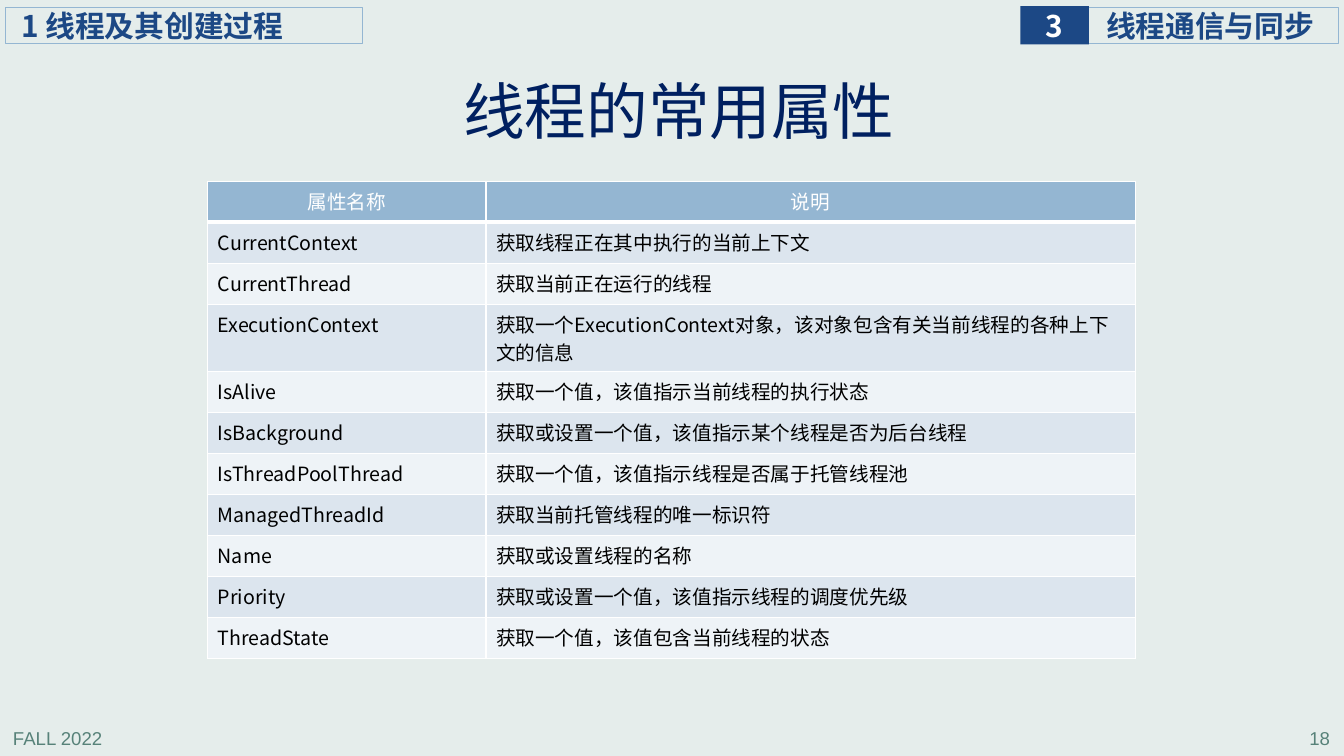
from pptx import Presentation
from pptx import util as u
from pptx.dml.color import RGBColor
from pptx.enum import shapes, text
from pptx.oxml import ns
from lxml import etree

COLORS = {
    "background": "E5EDEB", "navy": "1C4885", "blue": "94B6D2",
    "title": "002060", "footer": "578279", "white": "FFFFFF",
    "black": "000000", "odd": "DCE5EE", "even": "EEF3F7",
}
CJK = "Noto Sans CJK SC"
LEFT, CENTER, RIGHT = text.PP_ALIGN.LEFT, text.PP_ALIGN.CENTER, text.PP_ALIGN.RIGHT
PROPERTIES = [
    ("属性名称", "说明"),
    ("CurrentContext", "获取线程正在其中执行的当前上下文"),
    ("CurrentThread", "获取当前正在运行的线程"),
    ("ExecutionContext", "获取一个ExecutionContext对象，该对象包含有关当前线程的各种上下文的信息"),
    ("IsAlive", "获取一个值，该值指示当前线程的执行状态"),
    ("IsBackground", "获取或设置一个值，该值指示某个线程是否为后台线程"),
    ("IsThreadPoolThread", "获取一个值，该值指示线程是否属于托管线程池"),
    ("ManagedThreadId", "获取当前托管线程的唯一标识符"),
    ("Name", "获取或设置线程的名称"),
    ("Priority", "获取或设置一个值，该值指示线程的调度优先级"),
    ("ThreadState", "获取一个值，该值包含当前线程的状态"),
]
TALL_ROW = 3


def rgb(name):
    """Return the named palette colour."""
    return RGBColor.from_string(COLORS[name])


def write(tf, words, size, color, font=CJK, align=LEFT, bold=False):
    """Write one run into the first paragraph and return the paragraph."""
    p = tf.paragraphs[0]
    p.alignment = align
    r = p.add_run()
    r.text = words
    r.font.size, r.font.bold, r.font.name = u.Pt(size), bold, font
    r.font.color.rgb = rgb(color)
    etree.SubElement(r.font._element, ns.qn("a:ea"), typeface=font)
    return p


def add_text(s, box, words, size, color, font=CJK, align=LEFT, anchor=text.MSO_ANCHOR.TOP):
    """Add a wrapping text box and return its paragraph."""
    tf = s.shapes.add_textbox(*map(u.Inches, box)).text_frame
    tf.word_wrap = True
    tf.vertical_anchor = anchor
    return write(tf, words, size, color, font, align)


def add_label(s, box, words, inset=0, filled=False):
    """Add a section label, either outlined or filled."""
    sp = s.shapes.add_shape(shapes.MSO_SHAPE.RECTANGLE, *map(u.Inches, box))
    sp.shadow.inherit = False
    if filled:
        sp.fill.solid()
        sp.fill.fore_color.rgb = rgb("navy")
        sp.line.fill.background()
    else:
        sp.fill.background()
        sp.line.color.rgb = rgb("blue")
        sp.line.width = u.Pt(0.75)
    tf = sp.text_frame
    tf.word_wrap = not filled
    tf.vertical_anchor = text.MSO_ANCHOR.MIDDLE
    tf.margin_left = u.Inches(inset)
    tf.margin_top = tf.margin_right = tf.margin_bottom = 0
    write(tf, words, 21.3, "white" if filled else "navy",
          align=CENTER if filled else LEFT, bold=True)


def set_border(cell, side, width):
    """Draw a white border on one side of a cell."""
    ln = etree.SubElement(cell._tc.get_or_add_tcPr(), ns.qn("a:" + side), w=str(u.Pt(width)))
    fill = etree.SubElement(ln, ns.qn("a:solidFill"))
    etree.SubElement(fill, ns.qn("a:srgbClr"), val=COLORS["white"])


def fill_cell(cell, words, row):
    """Style and fill one table cell according to its row."""
    header = row == 0
    for side in ("lnL", "lnR", "lnT", "lnB"):
        thick = (header and side == "lnB") or (row == 1 and side == "lnT")
        set_border(cell, side, 3 if thick else 1)
    cell.fill.solid()
    cell.fill.fore_color.rgb = rgb("blue" if header else "odd" if row % 2 else "even")
    write(cell.text_frame, words, 14, "white" if header else "black",
          align=CENTER if header else LEFT)


def add_properties(s, left, top, widths, height, tall):
    """Add the table of thread properties."""
    box = map(u.Inches, (left, top, sum(widths), height))
    table = s.shapes.add_table(len(PROPERTIES), len(widths), *box).table
    for column, width in zip(table.columns, widths):
        column.width = u.Inches(width)
    normal = (height - tall) / (len(PROPERTIES) - 1)
    for i, values in enumerate(PROPERTIES):
        table.rows[i].height = u.Inches(tall if i == TALL_ROW else normal)
        for j, words in enumerate(values):
            fill_cell(table.cell(i, j), words, i)


def main():
    """Build and save the slide."""
    prs = Presentation()
    prs.slide_width, prs.slide_height = u.Inches(13.33), u.Inches(7.5)
    s = prs.slides.add_slide(prs.slide_layouts[6])
    s.background.fill.solid()
    s.background.fill.fore_color.rgb = rgb("background")
    add_text(s, (0.03, 7.16, 2.78, 0.31), "FALL 2022", 13.3, "footer", "Arial")
    add_text(s, (10.51, 7.16, 2.78, 0.31), "18", 13.3, "footer", "Arial", RIGHT)
    add_label(s, (10.78, 0.07, 2.5, 0.36), "线程通信与同步", 0.19)
    add_label(s, (10.12, 0.06, 0.68, 0.38), "3", filled=True)
    add_label(s, (0.05, 0.07, 3.55, 0.36), "1 线程及其创建过程", 0.16)
    title = add_text(s, (3.89, 0.76, 5.69, 0.76), "线程的常用属性", 44, "title",
                     align=CENTER, anchor=text.MSO_ANCHOR.MIDDLE)
    title.line_spacing = 0.9
    add_properties(s, 2.06, 1.8, (2.76, 6.44), 4.73, 0.67)
    prs.save("out.pptx")


if __name__ == "__main__":
    main()
